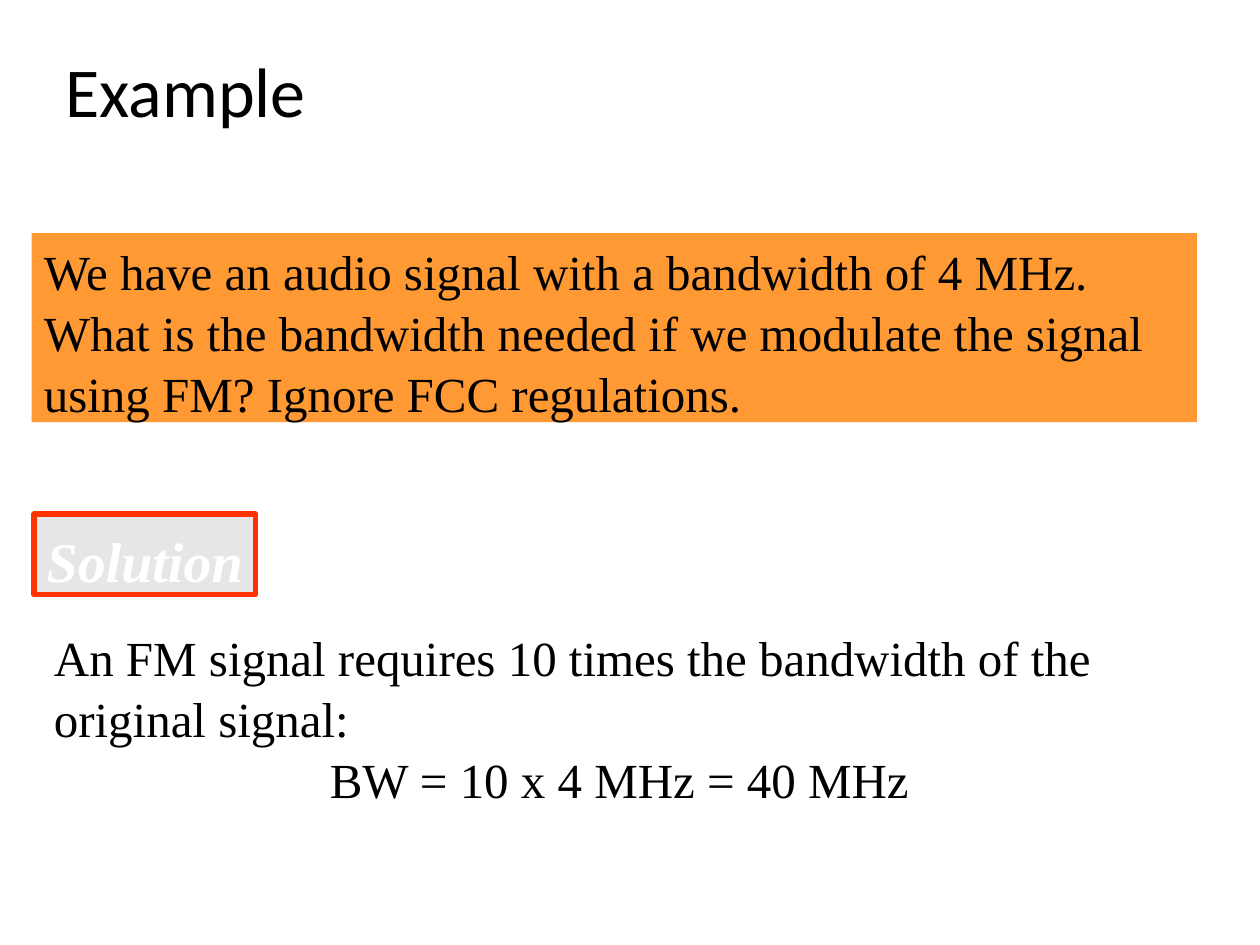
from dataclasses import dataclass

from pptx import Presentation
from pptx.dml.color import RGBColor
from pptx.enum.shapes import MSO_SHAPE
from pptx.enum.text import MSO_ANCHOR, PP_ALIGN
from pptx.util import Pt

RECTANGLE = MSO_SHAPE.RECTANGLE
TOP, MIDDLE = MSO_ANCHOR.TOP, MSO_ANCHOR.MIDDLE
LEFT, CENTER = PP_ALIGN.LEFT, PP_ALIGN.CENTER
TITLE_ONLY = 5
SERIF = "Times New Roman"
BODY_FORMAT = {"name": SERIF, "size": Pt(28), "bold": False, "italic": False}
LABEL_FORMAT = {"name": SERIF, "size": Pt(32), "bold": True, "italic": True}
TITLE_FORMAT = {"name": "Calibri", "size": Pt(40), "bold": False}


@dataclass(frozen=True)
class Panel:
    bounds: tuple[float, float, float, float]
    fill: str
    lines: tuple[str, ...]
    font: dict
    color: str = "000000"
    outline: str | None = None
    align: PP_ALIGN = LEFT
    anchor: MSO_ANCHOR = TOP
    insets: tuple[float, float, float, float] = (7.2, 3.6, 7.2, 3.6)
    spacing: float = 1.04


def rgb(value: str) -> RGBColor:
    return RGBColor.from_string(value)


def place(shape, bounds: tuple) -> None:
    for side, length in zip(("left", "top", "width", "height"), bounds):
        setattr(shape, side, Pt(length))


def format_font(font, values: dict, color: str) -> None:
    for attribute, value in values.items():
        setattr(font, attribute, value)
    font.color.rgb = rgb(color)


def format_frame(frame, insets: tuple, anchor: MSO_ANCHOR, wrap: bool) -> None:
    for side, length in zip(("left", "top", "right", "bottom"), insets):
        setattr(frame, f"margin_{side}", Pt(length))
    frame.vertical_anchor = anchor
    frame.word_wrap = wrap


def draw_panel(slide, panel: Panel):
    shape = slide.shapes.add_shape(RECTANGLE, *map(Pt, panel.bounds))
    shape.shadow.inherit = False
    shape.fill.solid()
    shape.fill.fore_color.rgb = rgb(panel.fill)
    if panel.outline:
        shape.line.color.rgb = rgb(panel.outline)
        shape.line.width = Pt(3)
    else:
        shape.line.fill.background()
    frame = shape.text_frame
    format_frame(frame, panel.insets, panel.anchor, len(panel.lines[0]) > 20)
    frame.text = "\n".join(panel.lines)
    for paragraph in frame.paragraphs:
        paragraph.alignment = panel.align
        paragraph.line_spacing = panel.spacing
        format_font(paragraph.font, panel.font, panel.color)
    return shape


QUESTION = Panel(
    (18, 133.2, 666, 108), "FF9933",
    ("We have an audio signal with a bandwidth of 4 MHz. What is the bandwidth "
     "needed if we modulate the signal using FM? Ignore FCC regulations.",),
    BODY_FORMAT,
)
SOLUTION = Panel(
    (19.44, 293.76, 126.72, 46.08), "E7E6E6", ("Solution",), LABEL_FORMAT,
    color="FFFFFF", outline="FF3300", align=CENTER, anchor=MIDDLE,
    insets=(0, 6, 0, 0), spacing=1.0,
)
ANSWER = Panel(
    (23.76, 353.52, 660.24, 108), "FFFFFF",
    ("An FM signal requires 10 times the bandwidth of the original signal:",
     "BW = 10 x 4 MHz = 40 MHz"),
    BODY_FORMAT,
)


def main() -> None:
    deck = Presentation()
    deck.slide_width, deck.slide_height = Pt(720), Pt(540)
    slide = deck.slides.add_slide(deck.slide_layouts[TITLE_ONLY])

    title = slide.shapes.title
    place(title, (30.24, 23.76, 216, 55.44))
    title.text = "Example"
    format_frame(title.text_frame, (7.2, 3.6, 7.2, 3.6), TOP, True)
    heading = title.text_frame.paragraphs[0]
    heading.alignment = LEFT
    format_font(heading.font, TITLE_FORMAT, "000000")

    for panel in (QUESTION, SOLUTION):
        draw_panel(slide, panel)
    answer = draw_panel(slide, ANSWER)
    answer.text_frame.paragraphs[-1].alignment = CENTER

    deck.save("out.pptx")


if __name__ == "__main__":
    main()
